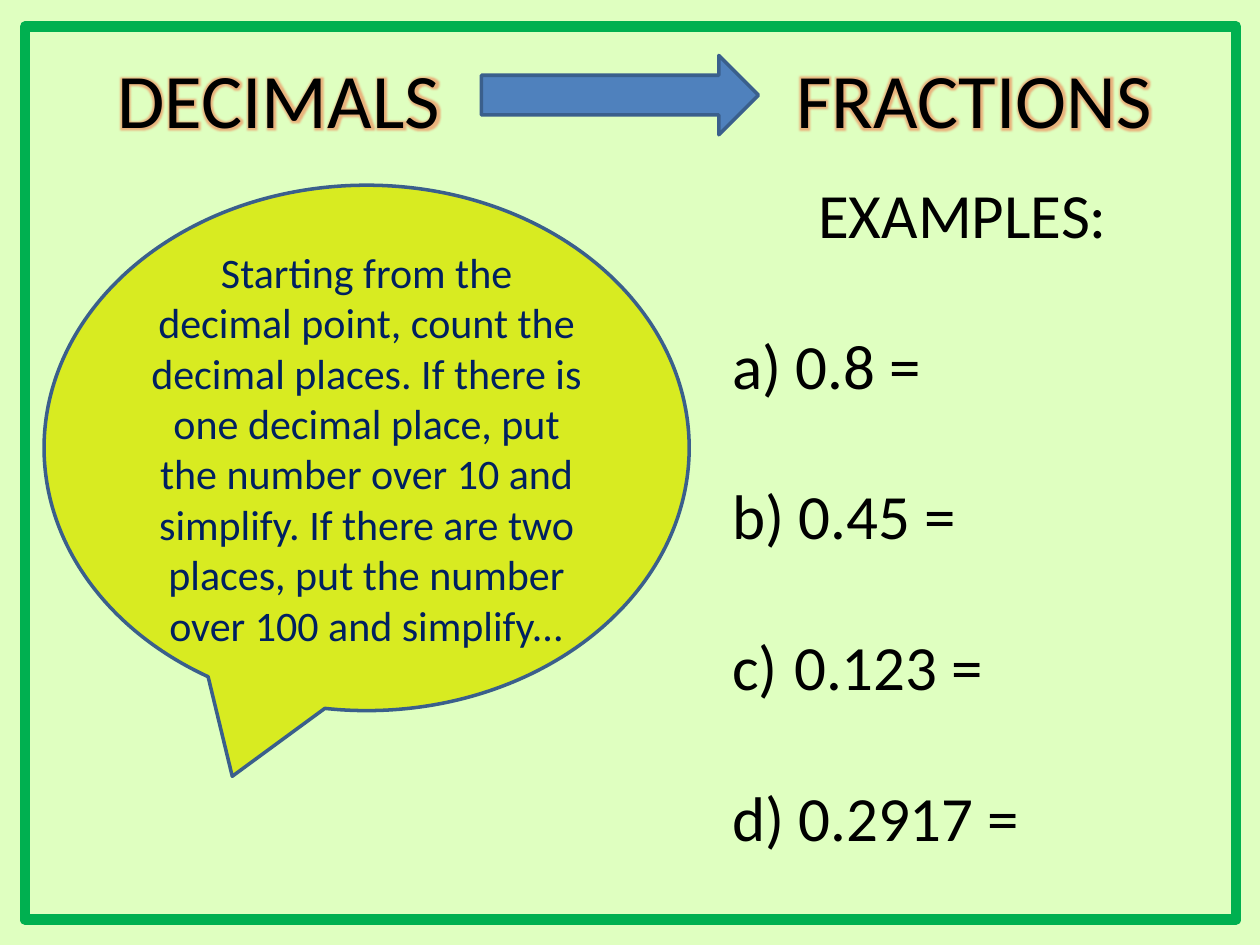
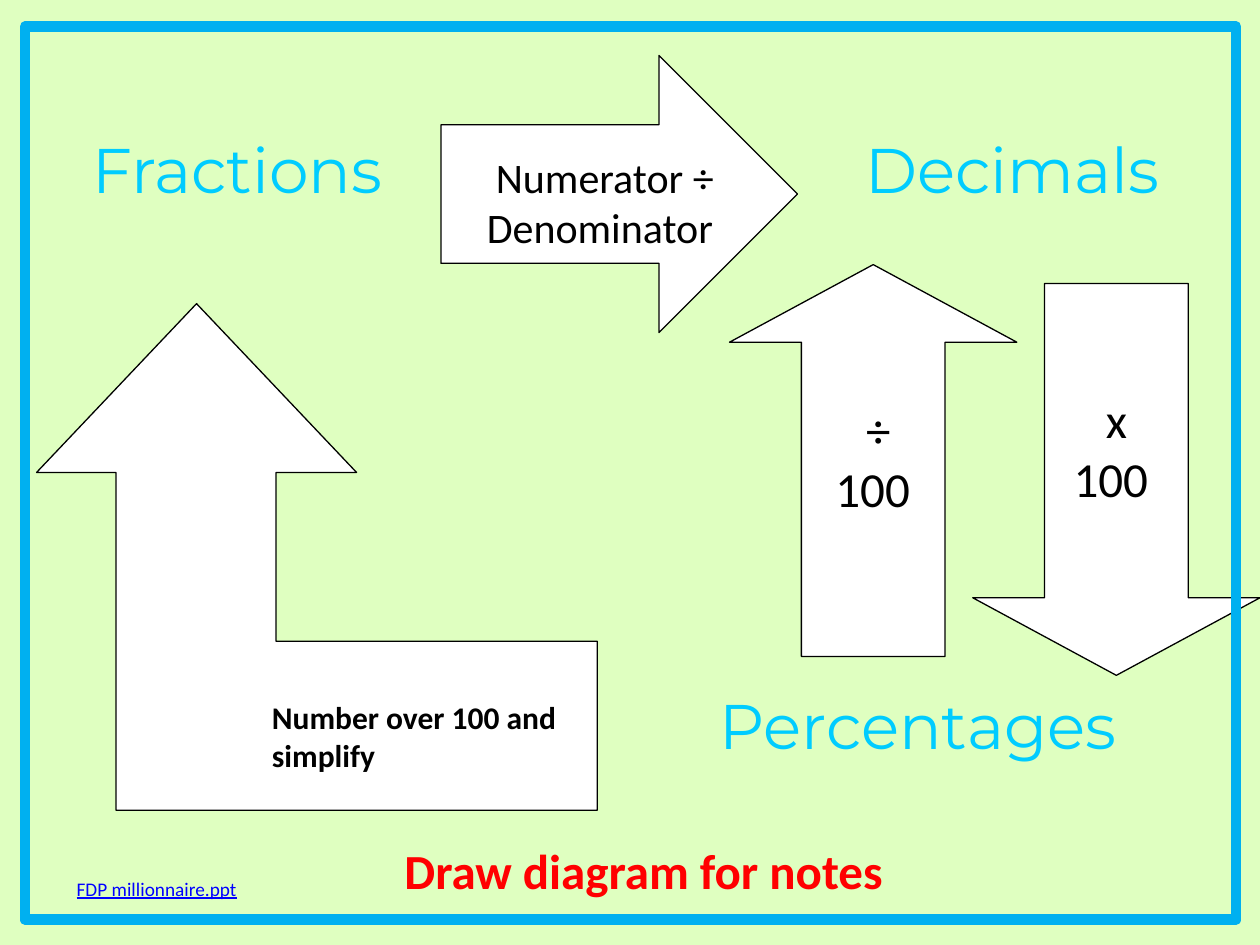
"""Builds two slides on converting fractions, decimals and percentages."""
from dataclasses import dataclass

from lxml import etree
from pptx import Presentation
from pptx import util as u
from pptx.dml.color import RGBColor
from pptx.enum import shapes, text
from pptx.oxml import ns

Inches = u.Inches
Kind = shapes.MSO_SHAPE
Align = text.PP_ALIGN


@dataclass(frozen=True)
class Theme:
    font: str = "Calibri"
    display_font: str = "Montserrat"
    page: str = "DFFFC0"
    black: str = "000000"
    white: str = "FFFFFF"
    green: str = "00B050"
    blue: str = "00B0F0"
    arrow: str = "4F81BD"
    edge: str = "3A5F8C"
    callout: str = "D8EB21"
    navy: str = "002060"
    cyan: str = "00CCFF"
    link: str = "0000FF"
    red: str = "FF0000"
    glow: str = "F08050"
    heading: int = 44
    large: int = 36
    medium: int = 28
    normal: int = 24
    small: int = 18
    tiny: int = 11
    hairline: float = 0.75
    border: int = 2
    frame: int = 6


def add_node(parent, tag, **attributes):
    return etree.SubElement(parent, ns.qn(tag), attributes)


def add_color(parent, color):
    return add_node(parent, "a:srgbClr", val=color)


class Painter:
    def __init__(self, deck, theme):
        self.deck = deck
        self.theme = theme
        self.page = None

    def start(self, layout):
        self.page = self.deck.slides.add_slide(self.deck.slide_layouts[layout])
        fill = self.page.background.fill
        fill.solid()
        fill.fore_color.rgb = RGBColor.from_string(self.theme.page)

    def paint(self, shape, fill, line, width):
        shape.shadow.inherit = False
        if fill:
            shape.fill.solid()
            shape.fill.fore_color.rgb = RGBColor.from_string(fill)
        else:
            shape.fill.background()
        shape.line.color.rgb = RGBColor.from_string(line)
        shape.line.width = u.Pt(width)
        return shape

    def shape(self, kind, at, fill, line, width):
        box = self.page.shapes.add_shape(kind, *map(Inches, at))
        return self.paint(box, fill, line, width)

    def frame(self, color):
        self.shape(Kind.RECTANGLE, (0.2, 0.21, 9.61, 7.09), None, color, self.theme.frame)

    def outline_arrow(self, kind, at):
        return self.shape(kind, at, self.theme.white, self.theme.black, self.theme.hairline)

    def outline_polygon(self, points):
        first, *rest = [tuple(map(Inches, point)) for point in points]
        builder = self.page.shapes.build_freeform(*first)
        builder.add_line_segments(rest, close=True)
        return self.paint(builder.convert_to_shape(), self.theme.white,
                          self.theme.black, self.theme.hairline)

    def place(self, box, at, wrap=True, anchor=text.MSO_ANCHOR.TOP):
        box.left, box.top, box.width, box.height = map(Inches, at)
        frame = box.text_frame
        frame.auto_size = text.MSO_AUTO_SIZE.NONE
        frame.word_wrap = wrap
        frame.vertical_anchor = anchor
        return frame.paragraphs[0]

    def add_words(self, para, words, size, color=None, align=Align.LEFT, font=None,
                  bold=False, underline=False, outline=None, glow=None):
        para.alignment = align
        span = para.add_run()
        span.text = words
        span.font.name = font or self.theme.font
        span.font.size = u.Pt(size)
        span.font.bold = bold
        span.font.underline = underline
        span.font.color.rgb = RGBColor.from_string(color or self.theme.black)
        fill = span._r.get_or_add_rPr().find(ns.qn("a:solidFill"))
        if outline:
            line = etree.Element(ns.qn("a:ln"), w=str(u.Pt(self.theme.hairline)))
            add_color(add_node(line, "a:solidFill"), outline)
            fill.addprevious(line)
        if glow:
            effects = etree.Element(ns.qn("a:effectLst"))
            halo = add_node(effects, "a:glow", rad=str(u.Pt(5)))
            add_node(add_color(halo, glow), "a:alpha", val="60000")
            fill.addnext(effects)

    def label(self, at, words, size, wrap=True, **style):
        box = self.page.shapes.add_textbox(*map(Inches, at))
        self.add_words(self.place(box, at, wrap), words, size, **style)

    def title(self, at, words, size, wrap=True, **style):
        para = self.place(self.page.shapes.title, at, wrap)
        self.add_words(para, words, size, **style)

    def lettered_list(self, at, heading, items, gap):
        box = self.page.placeholders[1]
        para = self.place(box, at)
        properties = para._p.get_or_add_pPr()
        properties.set("marL", "0")
        properties.set("indent", "0")
        add_node(properties, "a:buNone")
        para.space_before = u.Pt(0)
        self.add_words(para, heading, self.theme.large, align=Align.CENTER)
        hang = Inches(0.38)
        for item in items:
            para = box.text_frame.add_paragraph()
            properties = para._p.get_or_add_pPr()
            properties.set("marL", str(hang))
            properties.set("indent", str(-hang))
            add_node(properties, "a:buFont", typeface="+mj-lt")
            add_node(properties, "a:buAutoNum", type="alphaLcParenR")
            para.space_before = u.Pt(gap)
            self.add_words(para, item, self.theme.large)


def decimals_to_fractions(painter):
    theme = painter.theme
    painter.start(1)
    painter.title((0.83, 0.36, 3.31, 0.84), "DECIMALS", theme.heading, glow=theme.glow)
    painter.label((6.22, 0.36, 3.78, 0.84), "FRACTIONS", theme.heading, glow=theme.glow)
    painter.shape(Kind.RIGHT_ARROW, (3.82, 0.44, 2.2, 0.63),
                  theme.arrow, theme.edge, theme.border)
    painter.frame(theme.green)
    at = (0.35, 1.47, 5.12, 4.17)
    callout = painter.shape(Kind.OVAL_CALLOUT, at, theme.callout, theme.edge, theme.border)
    para = painter.place(callout, at, anchor=text.MSO_ANCHOR.MIDDLE)
    painter.add_words(para, "Starting from the decimal point, count the decimal places. "
                      "If there is one decimal place, put the number over 10 and simplify. "
                      "If there are two places, put the number over 100 and simplify...",
                      theme.normal, theme.navy, Align.CENTER)
    painter.lettered_list((5.71, 1.34, 3.86, 5.55), "EXAMPLES:",
                          (" 0.8 =", " 0.45 =", " 0.123 =", " 0.2917 ="), 43)


def conversion_diagram(painter):
    theme = painter.theme
    painter.start(5)
    painter.title((3.11, 6.62, 4.04, 0.57), "Draw diagram for notes", theme.medium,
                  wrap=False, color=theme.red, bold=True)
    for words, at in (("Fractions", (0.35, 0.99, 3.07, 0.93)),
                      ("Decimals", (6.5, 0.99, 3.07, 0.94)),
                      ("Percentages", (5, 5.4, 4.57, 1.06))):
        painter.label(at, words, theme.large, wrap=False, color=theme.cyan,
                      align=Align.CENTER, font=theme.display_font, outline=theme.black)
    painter.outline_arrow(Kind.RIGHT_ARROW, (3.5, 0.44, 2.83, 2.2))
    for left, top, turn in ((7.72, 2.25, 0), (5.79, 2.1, 180)):
        arrow = painter.outline_arrow(Kind.DOWN_ARROW, (left, top, 2.28, 3.11))
        arrow.adjustments[1] = 0.27
        arrow.rotation = turn
    painter.outline_polygon(((1.56, 2.41), (2.83, 3.75), (2.19, 3.75), (2.19, 5.09),
                             (4.74, 5.09), (4.74, 6.43), (0.92, 6.43), (0.92, 3.75),
                             (0.29, 3.75)))
    for words, at, size in (
            ("Numerator ÷ Denominator ", (3.66, 1.15, 2.28, 0.91), theme.normal),
            ("÷ 100 ", (6.5, 3.12, 0.94, 1.04), theme.medium),
            ("x 100 ", (8.39, 3.04, 0.94, 1.04), theme.medium)):
        painter.label(at, words, size, align=Align.CENTER, outline=theme.green)
    painter.frame(theme.blue)
    painter.label((0.51, 6.91, 2.99, 0.29), "FDP millionnaire.ppt", theme.tiny,
                  color=theme.link, underline=True)
    painter.label((2.06, 5.49, 2.99, 0.71), "Number over 100 and simplify",
                  theme.small, bold=True)


def main():
    deck = Presentation()
    deck.slide_width, deck.slide_height = Inches(10), Inches(7.5)
    painter = Painter(deck, Theme())
    decimals_to_fractions(painter)
    conversion_diagram(painter)
    deck.save("out.pptx")


if __name__ == "__main__":
    main()
